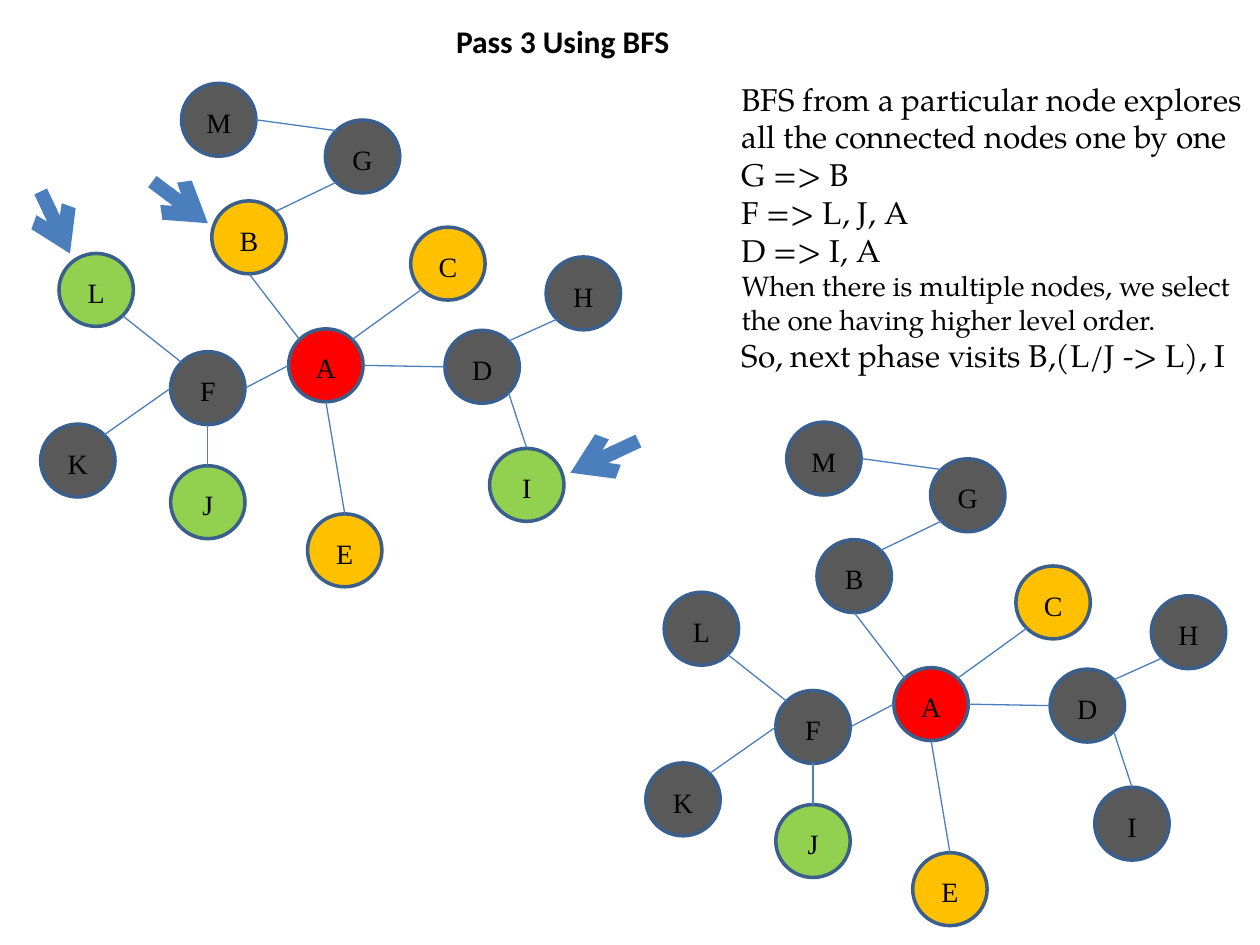
import math
import pptx
import pptx.util
import pptx.dml.color
import pptx.enum.shapes
import pptx.enum.text
import pptx.oxml
import pptx.oxml.ns
import lxml.etree

Cm = pptx.util.Cm
Pt = pptx.util.Pt
RGBColor = pptx.dml.color.RGBColor
PP_ALIGN = pptx.enum.text.PP_ALIGN

BLACK = RGBColor(0, 0, 0)
GRAY = RGBColor(0x59, 0x59, 0x59)
RED = RGBColor(0xFF, 0, 0)
AMBER = RGBColor(0xFF, 0xC0, 0)
GREEN = RGBColor(0x92, 0xD0, 0x50)
OUTLINE = RGBColor(0x3A, 0x5F, 0x8C)
BLUE = RGBColor(0x4B, 0x7E, 0xBC)

NODE_W, NODE_H = 1.5, 1.47
NODES = {
    "L": (0.37, 3.43), "K": (0, 6.87), "F": (2.62, 5.41), "B": (3.45, 2.37),
    "J": (2.62, 7.71), "A": (5, 4.95), "D": (8.15, 4.98), "G": (5.74, 0.74),
    "E": (5.38, 8.68), "I": (9.05, 7.36), "C": (7.46, 2.9), "H": (10.19, 3.5),
    "M": (2.84, 0),
}
ANGLES = {"right": 0, "bottom right": 45, "bottom": 90, "bottom left": 135,
          "left": 180, "top left": 225, "top": 270, "top right": 315}
EDGES = [
    ("A", "top left", "B", "bottom"), ("A", "top right", "C", "bottom left"),
    ("A", "left", "F", "right"), ("A", "bottom", "E", "top"),
    ("A", "right", "D", "left"), ("D", "bottom right", "I", "top"),
    ("F", "bottom", "J", "top"), ("F", "left", "K", "top right"),
    ("F", "top left", "L", "bottom right"), ("B", "top right", "G", "bottom left"),
    ("D", "top right", "H", "bottom left"), ("M", "right", "G", "top left"),
]


def add_run(p, text, size, font, bold=False):
    r = p.add_run()
    r.text = text
    r.font.size = Pt(size)
    r.font.name = font
    r.font.bold = bold
    r.font.color.rgb = BLACK


def add_line(shapes, start, end, width):
    line = shapes.add_connector(pptx.enum.shapes.MSO_CONNECTOR.STRAIGHT,
                                *[Cm(v) for v in (*start, *end)])
    line.line.color.rgb = BLUE
    line.line.width = Pt(width)
    lxml.etree.SubElement(line._element.spPr, pptx.oxml.ns.qn("a:effectLst"))
    return line


def add_node(shapes, name, x, y, color):
    sp = shapes.add_shape(pptx.enum.shapes.MSO_SHAPE.OVAL,
                          Cm(x), Cm(y), Cm(NODE_W), Cm(NODE_H))
    sp.shadow.inherit = False
    sp.fill.solid()
    sp.fill.fore_color.rgb = color
    sp.line.color.rgb = OUTLINE
    sp.line.width = Pt(2)
    tf = sp.text_frame
    tf.margin_left = tf.margin_right = Cm(0.2)
    tf.margin_top = tf.margin_bottom = Cm(0.1)
    tf.vertical_anchor = pptx.enum.text.MSO_ANCHOR.MIDDLE
    p = tf.paragraphs[0]
    p.alignment = PP_ALIGN.CENTER
    p.line_spacing = 1.15
    p.space_after = Pt(10)
    add_run(p, name, 16, "Times New Roman")


def add_graph(slide, left, top, colors):
    shapes = slide.shapes.add_group_shape().shapes

    def site(name, side):
        x, y = NODES[name]
        a = math.radians(ANGLES[side])
        return (left + x + NODE_W / 2 * (1 + math.cos(a)),
                top + y + NODE_H / 2 * (1 + math.sin(a)))

    for name, (x, y) in NODES.items():
        add_node(shapes, name, left + x, top + y, colors.get(name, GRAY))
    for a, a_side, b, b_side in EDGES:
        add_line(shapes, site(a, a_side), site(b, b_side), 0.75)


def add_pointer(slide, start, end):
    line = add_line(slide.shapes, start, end, 8)
    tail = lxml.etree.SubElement(line.line._get_or_add_ln(), pptx.oxml.ns.qn("a:tailEnd"))
    tail.set("type", "arrow")


def add_text(slide, left, top, width, height, wrap):
    tf = slide.shapes.add_textbox(Cm(left), Cm(top), Cm(width), Cm(height)).text_frame
    tf.word_wrap = wrap
    tf.auto_size = pptx.enum.text.MSO_AUTO_SIZE.SHAPE_TO_FIT_TEXT
    return tf


def add_title(slide, left, top, width, height):
    p = add_text(slide, left, top, width, height, False).paragraphs[0]
    p.alignment = PP_ALIGN.CENTER
    add_run(p, "Pass 3 Using BFS", 18, "Calibri", True)


def add_explanation(slide, left, top, width, height):
    tf = add_text(slide, left, top, width, height, True)
    rows = [
        ("BFS from a particular node explores all the connected nodes one by one", 18),
        ("G => B", 18),
        ("F => L, J, A", 18),
        ("D => I, A", 18),
        ("When there is multiple nodes, we select the one having higher level order.", 16),
        ("So, next phase visits B,(L/J -> L), I", 18),
    ]
    for i, (text, size) in enumerate(rows):
        p = tf.add_paragraph() if i else tf.paragraphs[0]
        add_run(p, text, size, "TeX Gyre Pagella")


prs = pptx.Presentation()
prs.slide_width, prs.slide_height = Cm(25.4), Cm(19.05)
slide = prs.slides.add_slide(prs.slide_layouts[6])

start_colors = {"A": RED, "C": AMBER, "E": AMBER, "J": GREEN}
add_graph(slide, 13.02, 8.51, start_colors)
add_title(slide, 8.92, 0.32, 4.85, 1.02)
add_graph(slide, 0.82, 1.68, {**start_colors, "B": AMBER, "L": GREEN, "I": GREEN})
for start, end in [((3.07, 3.66), (4.19, 4.5)),
                   ((0.82, 3.86), (1.41, 5.11)),
                   ((12.87, 8.89), (11.5, 9.53))]:
    add_pointer(slide, start, end)
add_explanation(slide, 14.7, 1.48, 10.59, 6.25)

prs.save("out.pptx")
